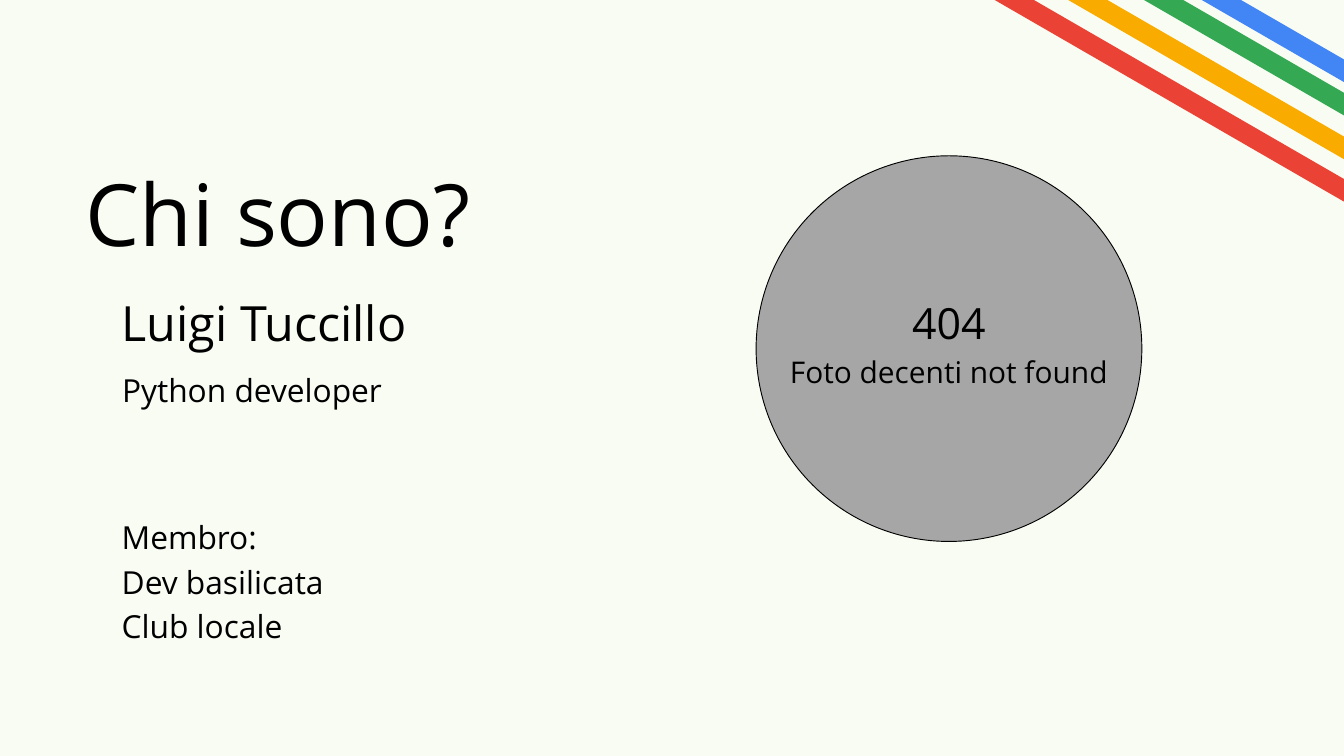
"""Build the "Chi sono?" speaker slide."""
from typing import NamedTuple

from lxml.etree import SubElement
from pptx import Presentation
from pptx.dml.color import RGBColor
from pptx.enum.shapes import MSO_CONNECTOR, MSO_SHAPE
from pptx.enum.text import MSO_ANCHOR, MSO_AUTO_SIZE, PP_ALIGN
from pptx.oxml.ns import qn
from pptx.slide import Slide
from pptx.text.text import TextFrame
from pptx.util import Cm, Pt

CREAM = RGBColor(0xF9, 0xFC, 0xF3)
BLACK = RGBColor(0x00, 0x00, 0x00)
GREY = RGBColor(0xA6, 0xA6, 0xA6)
RED = RGBColor(0xEA, 0x43, 0x35)
GREEN = RGBColor(0x34, 0xA8, 0x53)
AMBER = RGBColor(0xF9, 0xAB, 0x00)
BLUE = RGBColor(0x42, 0x85, 0xF4)

FONT = "Open Sans"
RUN, DROP = 18.08, 10.44
LEFT = 4.6
DISC_X, DISC_Y, DISC = 28.58, 5.89, 14.58


class Box(NamedTuple):
    x: float
    y: float
    w: float
    h: float


class Line(NamedTuple):
    text: str
    size: int
    pitch: float


class Block(NamedTuple):
    box: Box
    align: PP_ALIGN
    lines: list[Line]


class Stripe(NamedTuple):
    x: float
    y: float
    color: RGBColor


TITLE = Block(Box(2.84, 5.41, 15.34, 4.34), PP_ALIGN.CENTER,
              [Line("Chi sono?", 92, 128.8)])
BLOCKS = [
    Block(Box(DISC_X, 10.87, DISC, 3.78), PP_ALIGN.CENTER,
          [Line("404", 46, 64.4), Line("Foto decenti not found", 32, 44.8)]),
    Block(Box(LEFT, 10.72, 11.84, 2.46), PP_ALIGN.LEFT,
          [Line("Luigi Tuccillo", 52, 72.8)]),
    Block(Box(LEFT, 13.77, 9.86, 1.6), PP_ALIGN.CENTER,
          [Line("Python developer", 34, 47.6)]),
    Block(Box(LEFT, 19.35, 7.95, 4.95), PP_ALIGN.LEFT,
          [Line(name, 34, 47.6)
           for name in ("Membro:", "Dev basilicata", "Club locale")]),
]
STRIPES = [
    Stripe(34.65, -2.13, RED),
    Stripe(37.16, -3.94, GREEN),
    Stripe(37.03, -2.36, AMBER),
    Stripe(38.91, -4.19, BLUE),
]


def draw_stripe(slide: Slide, stripe: Stripe) -> None:
    line = slide.shapes.add_connector(
        MSO_CONNECTOR.STRAIGHT, Cm(stripe.x), Cm(stripe.y),
        Cm(stripe.x + RUN), Cm(stripe.y + DROP))
    line.line.color.rgb = stripe.color
    line.line.width = Pt(21)
    SubElement(line._element.spPr, qn("a:effectLst"))


def draw_disc(slide: Slide) -> None:
    disc = slide.shapes.add_shape(
        MSO_SHAPE.OVAL, Cm(DISC_X), Cm(DISC_Y), Cm(DISC), Cm(DISC))
    disc.shadow.inherit = False
    disc.fill.solid()
    disc.fill.fore_color.rgb = GREY
    disc.line.color.rgb = BLACK
    disc.line.width = Pt(1)


def fill_text(frame: TextFrame, block: Block) -> None:
    frame.word_wrap = True
    frame.auto_size = MSO_AUTO_SIZE.NONE
    frame.vertical_anchor = MSO_ANCHOR.TOP
    frame.margin_left = frame.margin_right = 0
    frame.margin_top = frame.margin_bottom = 0
    for i, line in enumerate(block.lines):
        para = frame.add_paragraph() if i else frame.paragraphs[0]
        para.alignment = block.align
        para.line_spacing = Pt(line.pitch)
        run = para.add_run()
        run.text = line.text
        run.font.name = FONT
        run.font.size = Pt(line.size)
        run.font.color.rgb = BLACK


def draw_title(slide: Slide, block: Block) -> None:
    title = slide.shapes.title
    title.left, title.top, title.width, title.height = map(Cm, block.box)
    fill_text(title.text_frame, block)


def draw_block(slide: Slide, block: Block) -> None:
    box = slide.shapes.add_textbox(*map(Cm, block.box))
    fill_text(box.text_frame, block)


def main() -> None:
    deck = Presentation()
    deck.slide_width, deck.slide_height = Cm(50.8), Cm(28.58)
    slide = deck.slides.add_slide(deck.slide_layouts.get_by_name("Title Only"))
    slide.background.fill.solid()
    slide.background.fill.fore_color.rgb = CREAM
    for stripe in STRIPES:
        draw_stripe(slide, stripe)
    draw_disc(slide)
    draw_title(slide, TITLE)
    for block in BLOCKS:
        draw_block(slide, block)
    deck.save("out.pptx")


if __name__ == "__main__":
    main()
